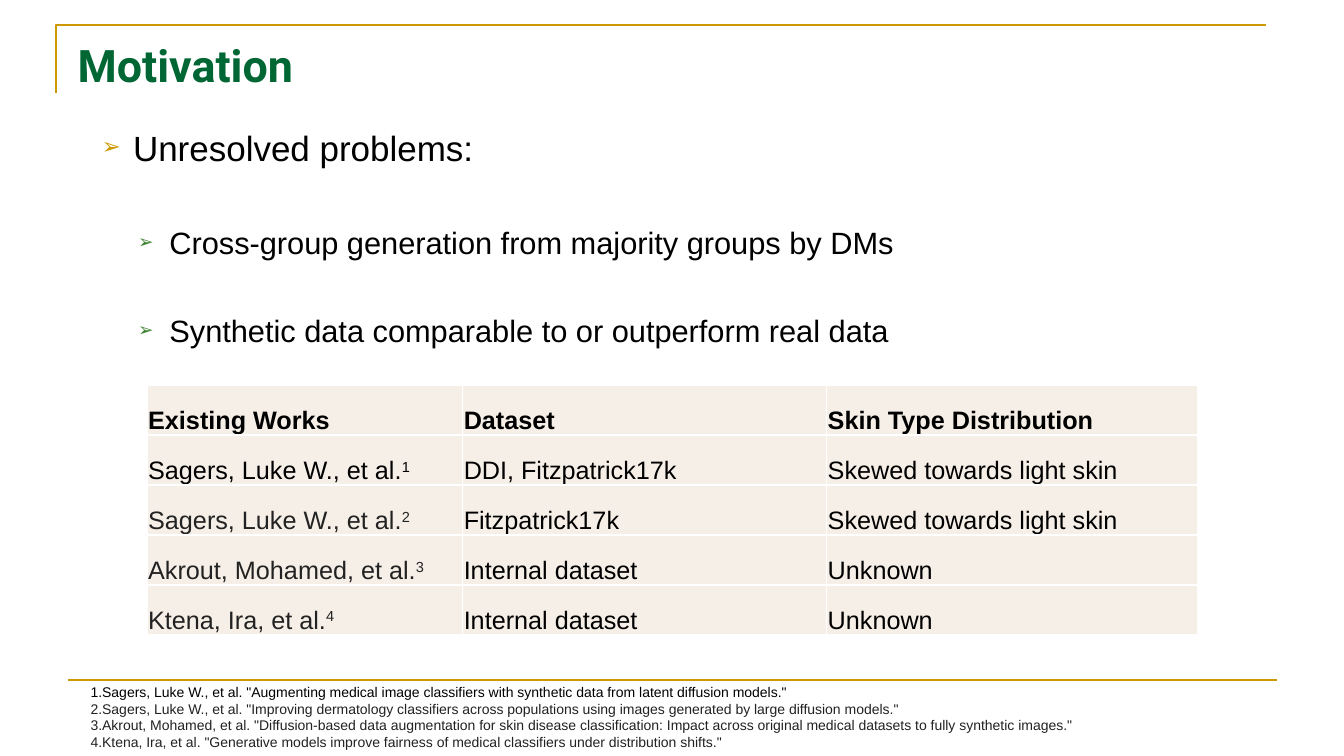
import pptx
import pptx.dml.color
import pptx.enum.shapes
import pptx.enum.text
import pptx.oxml
import pptx.oxml.ns
import pptx.util
from lxml import etree

Inches = pptx.util.Inches
Pt = pptx.util.Pt
qn = pptx.oxml.ns.qn
ANCHOR = pptx.enum.text.MSO_ANCHOR

COLORS = {
    "gold": "CC9900",
    "title": "006633",
    "leaf": "3B812F",
    "black": "000000",
    "gray": "222222",
    "cream": "F6EFE7",
    "white": "FFFFFF",
}

POINTS = [
    # text, left indent, size, bullet colour, bullet percent, space before
    ("Unresolved problems:", 0.31, 25, "gold", 65, 0),
    ("Cross-group generation from majority groups by DMs", 0.67, 22, "leaf", 60, 40),
    ("Synthetic data comparable to or outperform real data", 0.67, 22, "leaf", 60, 36),
]

HEADS = ["Existing Works", "Dataset", "Skin Type Distribution"]
WORKS = [
    ("Sagers, Luke W., et al.", "DDI, Fitzpatrick17k", "Skewed towards light skin"),
    ("Sagers, Luke W., et al.", "Fitzpatrick17k", "Skewed towards light skin"),
    ("Akrout, Mohamed, et al.", "Internal dataset", "Unknown"),
    ("Ktena, Ira, et al.", "Internal dataset", "Unknown"),
]
WIDTHS = [3.13, 3.61, 3.68]

NOTES = [
    '1.Sagers, Luke W., et al. "Augmenting medical image classifiers with synthetic data from latent diffusion models."',
    '2.Sagers, Luke W., et al. "Improving dermatology classifiers across populations using images generated by large diffusion models."',
    '3.Akrout, Mohamed, et al. "Diffusion-based data augmentation for skin disease classification: Impact across original medical datasets to fully synthetic images."',
    '4.Ktena, Ira, et al. "Generative models improve fairness of medical classifiers under distribution shifts."',
]


def rgb(name):
    return pptx.dml.color.RGBColor.from_string(COLORS[name])


def write(para, text, size=18, color="black", bold=False, font="Arial", sup=False):
    run = para.add_run()
    run.text = text
    run.font.size = Pt(size)
    run.font.name = font
    run.font.bold = bold
    run.font.color.rgb = rgb(color)
    if sup:
        run.font._element.set("baseline", "30000")


def place(shape, left, top, width, height):
    shape.left, shape.top = Inches(left), Inches(top)
    shape.width, shape.height = Inches(width), Inches(height)


def bullet(para, left, color, size):
    props = para._p.get_or_add_pPr()
    props.set("marL", str(Inches(left)))
    props.set("indent", str(Inches(-0.31)))
    tint = etree.SubElement(props, qn("a:buClr"))
    etree.SubElement(tint, qn("a:srgbClr"), val=COLORS[color])
    etree.SubElement(props, qn("a:buSzPct"), val=str(size * 1000))
    etree.SubElement(props, qn("a:buFont"), typeface="Arial")
    etree.SubElement(props, qn("a:buChar"), char="➢")


def add_rules(slide, left, top, width, height):
    """Draw the corner frame above the title and the rule above the notes."""
    pen = slide.shapes.build_freeform(Inches(left), Inches(top + 0.67))
    pen.add_line_segments(
        [(Inches(left), Inches(top)), (Inches(left + width), Inches(top))],
        close=False)
    frame = pen.convert_to_shape()
    frame.shadow.inherit = False
    frame.fill.background()
    base = Inches(top + height)
    rule = slide.shapes.add_connector(
        pptx.enum.shapes.MSO_CONNECTOR.STRAIGHT,
        Inches(left + 0.11), base, Inches(left + 0.11 + width), base)
    etree.SubElement(rule._element.spPr, qn("a:effectLst"))
    for shape in (frame, rule):
        shape.line.color.rgb = rgb("gold")
        shape.line.width = Pt(1.5)


def add_title(slide, *box):
    title = slide.shapes.title
    place(title, *box)
    frame = title.text_frame
    frame.auto_size = pptx.enum.text.MSO_AUTO_SIZE.NONE
    frame.vertical_anchor = ANCHOR.MIDDLE
    para = frame.paragraphs[0]
    para.alignment = pptx.enum.text.PP_ALIGN.LEFT
    write(para, "Motivation", size=32, color="title", bold=True, font="Roboto")


def add_points(slide, *box):
    body = slide.placeholders[1]
    place(body, *box)
    frame = body.text_frame
    frame.auto_size = pptx.enum.text.MSO_AUTO_SIZE.NONE
    for i, (text, left, size, color, scale, gap) in enumerate(POINTS):
        para = frame.add_paragraph() if i else frame.paragraphs[0]
        para.level = 1 if i else 0
        bullet(para, left, color, scale)
        para.space_before = Pt(gap)
        write(para, text, size=size)


def style(cell):
    props = cell._tc.get_or_add_tcPr()
    for side in ("lnL", "lnR", "lnT", "lnB"):
        line = etree.SubElement(props, qn("a:" + side), w=str(Pt(1)))
        fill = etree.SubElement(line, qn("a:solidFill"))
        etree.SubElement(fill, qn("a:srgbClr"), val=COLORS["white"])
    cell.fill.solid()
    cell.fill.fore_color.rgb = rgb("cream")
    cell.vertical_anchor = ANCHOR.BOTTOM
    cell.margin_left = cell.margin_right = cell.margin_top = Inches(0.01)
    cell.margin_bottom = 0


def add_works(slide, left, top, width, height):
    rows = [HEADS, *WORKS]
    table = slide.shapes.add_table(
        len(rows), len(HEADS), Inches(left), Inches(top),
        Inches(width), Inches(height)).table
    for col, size in zip(table.columns, WIDTHS):
        col.width = Inches(size)
    for r, row in enumerate(rows):
        for c, text in enumerate(row):
            cell = table.cell(r, c)
            style(cell)
            para = cell.text_frame.paragraphs[0]
            color = "gray" if r > 1 and c == 0 else "black"
            write(para, text, color=color, bold=r == 0)
            if r and c == 0:
                write(para, str(r), color=color, sup=True)


def add_notes(slide, left, top, width, height):
    box = slide.shapes.add_textbox(
        Inches(left), Inches(top), Inches(width), Inches(height))
    frame = box.text_frame
    frame.word_wrap = True
    for i, note in enumerate(NOTES):
        para = frame.add_paragraph() if i else frame.paragraphs[0]
        write(para, note, size=10, color="gray" if i else "black")


def main():
    deck = pptx.Presentation()
    deck.slide_width, deck.slide_height = Inches(13.33), Inches(7.5)
    slide = deck.slides.add_slide(deck.slide_layouts[1])
    add_rules(slide, 0.56, 0.25, 12, 6.5)
    add_title(slide, 0.67, 0.3, 12, 0.68)
    add_points(slide, 0.91, 1.2, 12, 5.63)
    add_works(slide, 1.46, 3.82, 10.42, 2.48)
    add_notes(slide, 0.8, 6.73, 11.74, 0.77)
    deck.save("out.pptx")


if __name__ == "__main__":
    main()
